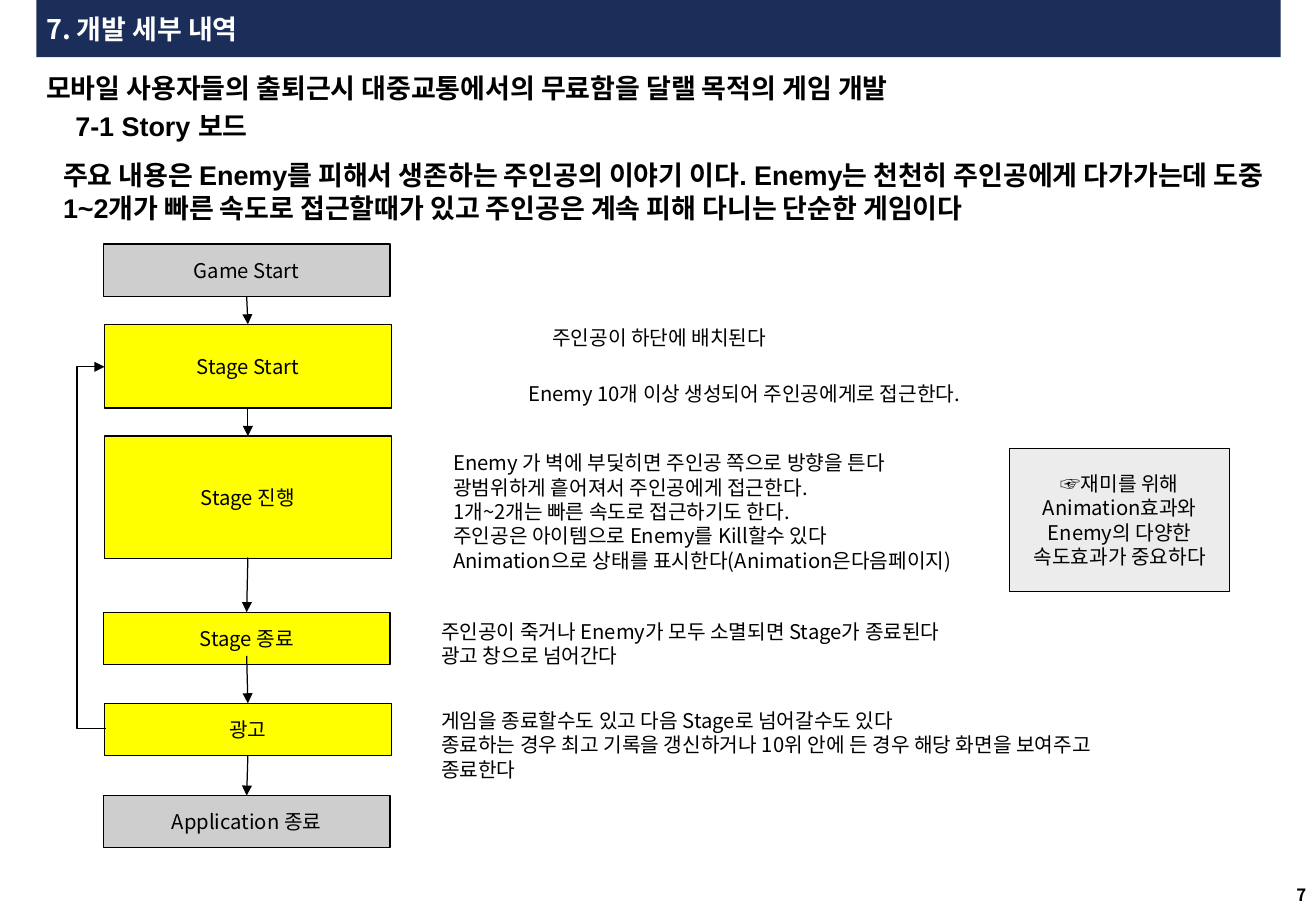
from typing import NamedTuple

from lxml import etree
from pptx import Presentation
from pptx.dml.color import RGBColor
from pptx.enum.shapes import MSO_CONNECTOR, MSO_SHAPE
from pptx.enum.text import MSO_ANCHOR, PP_ALIGN
from pptx.oxml.ns import qn
from pptx.util import Pt

PX = 9144  # EMU per px, 100 px to the inch
NAVY = RGBColor(0x1B, 0x2E, 0x5A)
YELLOW = RGBColor(0xFF, 0xFF, 0x00)
GRAY = RGBColor(0xCE, 0xCE, 0xCE)
PALE = RGBColor(0xEC, 0xEC, 0xEC)
BLACK = RGBColor(0, 0, 0)
WHITE = RGBColor(0xFF, 0xFF, 0xFF)
SANS = "Noto Sans CJK KR"
HEAD = "Arial"
LEFT, CENTER, RIGHT = PP_ALIGN.LEFT, PP_ALIGN.CENTER, PP_ALIGN.RIGHT
TOP, MIDDLE = MSO_ANCHOR.TOP, MSO_ANCHOR.MIDDLE
STRAIGHT, ELBOW = MSO_CONNECTOR.STRAIGHT, MSO_CONNECTOR.ELBOW
RECT = MSO_SHAPE.RECTANGLE
TITLE_ONLY = 5


class Box(NamedTuple):
    x: int
    y: int
    w: int
    h: int


class Step(NamedTuple):
    text: str
    box: Box
    fill: RGBColor


class Note(NamedTuple):
    text: str
    box: Box
    align: PP_ALIGN = LEFT


class Arrow(NamedTuple):
    x1: int
    y1: int
    x2: int
    y2: int


class Heading(NamedTuple):
    text: str
    box: Box
    margins: tuple[int, int]


STEPS = [
    Step("Game Start", Box(85, 201, 236, 43), GRAY),
    Step("Stage Start", Box(86, 267, 236, 69), YELLOW),
    Step("Stage 진행", Box(86, 359, 236, 101), YELLOW),
    Step("Stage 종료", Box(85, 504, 236, 43), YELLOW),
    Step("광고", Box(86, 579, 236, 43), YELLOW),
    Step("Application 종료", Box(85, 655, 236, 43), GRAY),
    Step("☞재미를 위해 Animation효과와 Enemy의 다양한 속도효과가 중요하다",
         Box(831, 369, 181, 118), PALE),
]
NOTES = [
    Note("주인공이 하단에 배치된다", Box(397, 264, 291, 48), CENTER),
    Note("Enemy 10개 이상 생성되어 주인공에게로 접근한다.",
         Box(414, 310, 397, 28), CENTER),
    Note("Enemy 가 벽에 부딫히면 주인공 쪽으로 방향을 튼다\n"
         "광범위하게 흩어져서 주인공에게 접근한다.\n"
         "1개~2개는 빠른 속도로 접근하기도 한다.\n"
         "주인공은 아이템으로 Enemy를 Kill할수 있다\n"
         "Animation으로 상태를 표시한다(Animation은다음페이지)",
         Box(369, 367, 441, 109)),
    Note("주인공이 죽거나 Enemy가 모두 소멸되면 Stage가 종료된다\n"
         "광고 창으로 넘어간다", Box(359, 506, 593, 48)),
    Note("게임을 종료할수도 있고 다음 Stage로 넘어갈수도 있다\n"
         "종료하는 경우 최고 기록을 갱신하거나 10위 안에 든 경우 "
         "해당 화면을 보여주고 종료한다", Box(359, 579, 593, 69)),
]
HEADINGS = [
    Heading("모바일 사용자들의 출퇴근시 대중교통에서의 무료함을 달랠 목적의 게임 개발",
            Box(30, 55, 1024, 35), (8, 4)),
    Heading("7-1 Story 보드", Box(54, 86, 366, 35), (8, 4)),
    Heading("주요 내용은 Enemy를 피해서 생존하는 주인공의 이야기 이다. "
            "Enemy는 천천히 주인공에게 다가가는데 도중 1~2개가 빠른 속도로 "
            "접근할때가 있고 주인공은 계속 피해 다니는 단순한 게임이다",
            Box(42, 126, 1031, 64), (10, 5)),
]
ARROWS = [
    Arrow(203, 244, 204, 267),
    Arrow(204, 337, 204, 359),
    Arrow(204, 459, 203, 504),
    Arrow(203, 540, 204, 579),
    Arrow(204, 622, 203, 655),
]
LOOP = Arrow(87, 600, 86, 302)
LOOP_X = 63


def emu(*lengths: int) -> list[int]:
    return [n * PX for n in lengths]


def write(sp, text: str, *, size: int = 12, font: str = SANS,
          color: RGBColor = BLACK, bold: bool = False,
          align: PP_ALIGN = LEFT, anchor: MSO_ANCHOR = TOP,
          margins: tuple[int, int] = (4, 4)) -> None:
    tf = sp.text_frame
    tf.word_wrap = True
    tf.vertical_anchor = anchor
    tf.margin_left = tf.margin_right = margins[0] * PX
    tf.margin_top = tf.margin_bottom = margins[1] * PX
    tf.text = text
    for p in tf.paragraphs:
        p.alignment = align
        for r in p.runs:
            r.font.size, r.font.bold, r.font.name = Pt(size), bold, font
            r.font.color.rgb = color
            ea = etree.SubElement(r.font._element, qn("a:ea"))
            ea.set("typeface", SANS)


def add_text(slide, box: Box, text: str, **fmt) -> None:
    write(slide.shapes.add_textbox(*emu(*box)), text, **fmt)


def add_rect(slide, box: Box, fill: RGBColor, outlined: bool = True):
    sp = slide.shapes.add_shape(RECT, *emu(*box))
    sp.shadow.inherit = False
    sp.fill.solid()
    sp.fill.fore_color.rgb = fill
    if outlined:
        sp.line.color.rgb = BLACK
        sp.line.width = Pt(0.75)
    else:
        sp.line.fill.background()
    return sp


def add_arrow(slide, arrow: Arrow, kind: MSO_CONNECTOR = STRAIGHT):
    line = slide.shapes.add_connector(kind, *emu(*arrow))
    line.line.color.rgb = BLACK
    line.line.width = Pt(0.75)
    sp_pr = line._element.spPr
    etree.SubElement(sp_pr.find(qn("a:ln")), qn("a:tailEnd"), type="triangle")
    etree.SubElement(sp_pr, qn("a:effectLst"))
    return line


def add_loop(slide, arrow: Arrow, bend_x: int) -> None:
    """Elbow arrow whose upright part stands at bend_x."""
    line = add_arrow(slide, arrow, ELBOW)
    bend = 100000 * (bend_x - arrow.x1) // (arrow.x2 - arrow.x1)
    guides = line._element.spPr.find(qn("a:prstGeom")).find(qn("a:avLst"))
    etree.SubElement(guides, qn("a:gd"), name="adj1", fmla=f"val {bend}")


def main() -> None:
    prs = Presentation()
    prs.slide_width, prs.slide_height = emu(1083, 750)
    slide = prs.slides.add_slide(prs.slide_layouts[TITLE_ONLY])

    title = slide.shapes.title
    title.left, title.top, title.width, title.height = emu(30, 6, 1024, 35)
    write(title, "7. 개발 세부 내역", size=16, color=WHITE, bold=True,
          anchor=MIDDLE, margins=(8, 4))
    banner = add_rect(slide, Box(30, 0, 1024, 47), NAVY, outlined=False)
    title._element.addprevious(banner._element)

    add_text(slide, Box(1045, 728, 30, 17), "7", size=10, bold=True,
             align=RIGHT, margins=(0, 0))
    for heading in HEADINGS:
        add_text(slide, heading.box, heading.text, size=16, font=HEAD,
                 bold=True, margins=heading.margins)
    for step in STEPS:
        write(add_rect(slide, step.box, step.fill), step.text,
              align=CENTER, anchor=MIDDLE)
    for note in NOTES:
        add_text(slide, note.box, note.text, align=note.align)
    for arrow in ARROWS:
        add_arrow(slide, arrow)
    add_loop(slide, LOOP, LOOP_X)
    prs.save("out.pptx")


if __name__ == "__main__":
    main()
